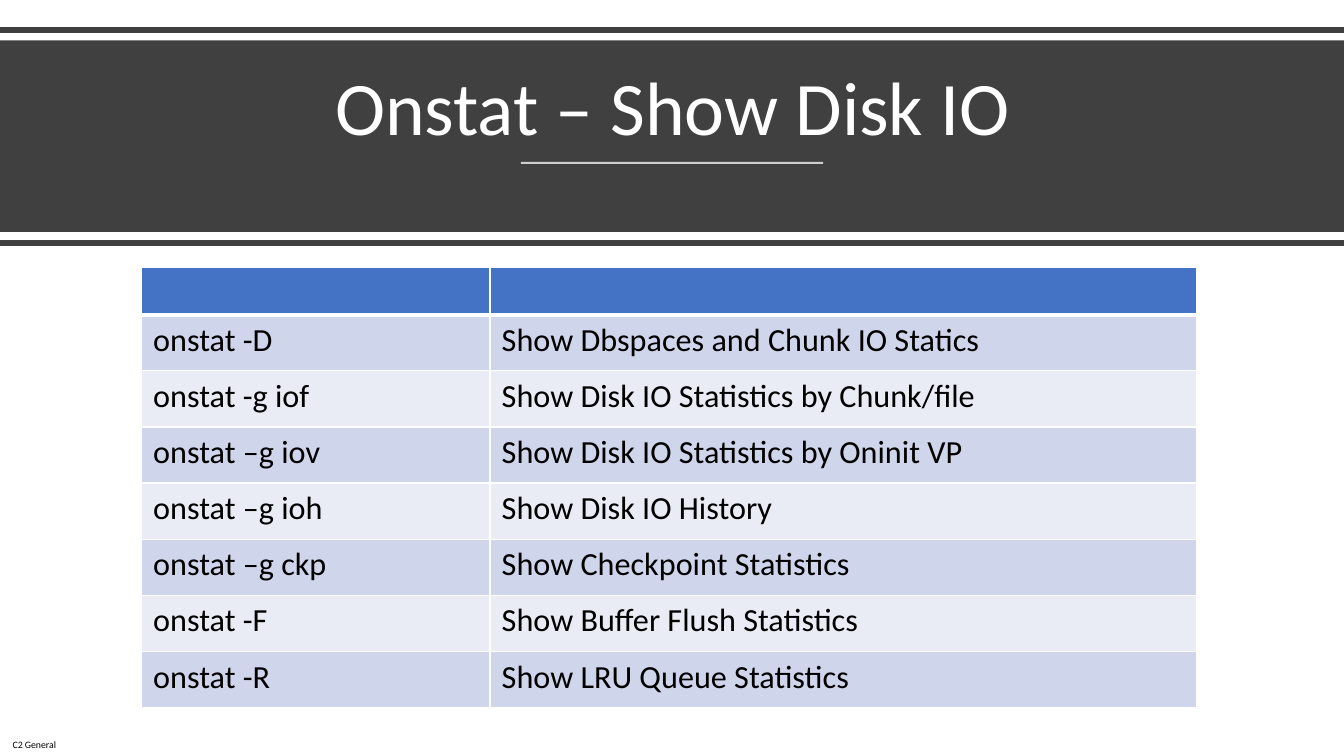
from dataclasses import dataclass

from lxml import etree
from pptx import Presentation
from pptx import util as u
from pptx.dml.color import RGBColor
from pptx.enum import shapes, text
from pptx.oxml import ns


@dataclass(frozen=True)
class Theme:
    font: str = "Calibri"
    dark: str = "404040"
    white: str = "FFFFFF"
    black: str = "000000"
    header: str = "4472C4"
    bands: tuple[str, str] = ("CFD5EA", "E9EBF5")
    title_size: float = 54
    table_size: float = 23
    label_size: float = 7


@dataclass(frozen=True)
class Rule:
    left: float
    right: float
    top: float
    width: float
    color: str
    opacity: int = 100


@dataclass(frozen=True)
class Command:
    name: str
    purpose: str


THEME = Theme()
PAGE_WIDTH, PAGE_HEIGHT = 960, 540

RULES = (
    Rule(0, PAGE_WIDTH, 21.6, 4, THEME.dark),
    Rule(372, 588, 116.4, 1.5, THEME.white, opacity=75),
    Rule(0, PAGE_WIDTH, 173.5, 4, THEME.dark),
)

COMMANDS = (
    Command("onstat -D", "Show Dbspaces and Chunk IO Statics"),
    Command("onstat -g iof", "Show Disk IO Statistics by Chunk/file"),
    Command("onstat –g iov", "Show Disk IO Statistics by Oninit VP"),
    Command("onstat –g ioh", "Show Disk IO History"),
    Command("onstat –g ckp", "Show Checkpoint Statistics"),
    Command("onstat -F", "Show Buffer Flush Statistics"),
    Command("onstat -R", "Show LRU Queue Statistics"),
)


def rgb(color: str) -> RGBColor:
    return RGBColor.from_string(color)


def style_text(frame, size: float, color: str) -> None:
    for para in frame.paragraphs:
        for span in para.runs:
            span.font.name = THEME.font
            span.font.size = u.Pt(size)
            span.font.color.rgb = rgb(color)


def draw_rule(page, rule: Rule) -> None:
    line = page.shapes.add_connector(
        shapes.MSO_CONNECTOR.STRAIGHT,
        u.Pt(rule.left), u.Pt(rule.top), u.Pt(rule.right), u.Pt(rule.top))
    line.line.width = u.Pt(rule.width)
    line.line.color.rgb = rgb(rule.color)
    properties = line._element.spPr
    if rule.opacity < 100:
        color = properties.find(".//" + ns.qn("a:srgbClr"))
        etree.SubElement(color, ns.qn("a:alpha"), val=str(rule.opacity * 1000))
    etree.SubElement(properties, ns.qn("a:effectLst"))


def draw_band(page):
    band = page.shapes.add_shape(
        shapes.MSO_SHAPE.RECTANGLE, 0, u.Pt(28.8), u.Pt(PAGE_WIDTH), u.Pt(136.8))
    band.shadow.inherit = False
    band.fill.solid()
    band.fill.fore_color.rgb = rgb(THEME.dark)
    band.line.fill.background()
    return band


def draw_title(page, band) -> None:
    title = page.shapes.title
    title.left, title.top = u.Pt(41.8), u.Pt(38.9)
    title.width, title.height = u.Pt(877), u.Pt(73.4)
    frame = title.text_frame
    frame.text = "Onstat – Show Disk IO"
    frame.vertical_anchor = text.MSO_ANCHOR.BOTTOM
    frame.auto_size = text.MSO_AUTO_SIZE.NONE
    frame.paragraphs[0].alignment = text.PP_ALIGN.CENTER
    frame.paragraphs[0].line_spacing = 0.9
    style_text(frame, THEME.title_size, THEME.white)
    # Bring the title in front of the band
    band._element.addnext(title._element)


def draw_label(page) -> None:
    box = page.shapes.add_textbox(0, u.Pt(523.4), u.Pt(49), u.Pt(16.6))
    frame = box.text_frame
    frame.word_wrap = True
    frame.margin_left = frame.margin_right = 0
    frame.margin_top = frame.margin_bottom = 0
    frame.vertical_anchor = text.MSO_ANCHOR.MIDDLE
    frame.text = "C2 General"
    frame.paragraphs[0].alignment = text.PP_ALIGN.CENTER
    style_text(frame, THEME.label_size, THEME.black)


def border_cell(cell, top: float, bottom: float) -> None:
    properties = cell._tc.get_or_add_tcPr()
    sides = (("L", 1), ("R", 1), ("T", top), ("B", bottom))
    for position, (side, width) in enumerate(sides):
        line = etree.Element(ns.qn(f"a:ln{side}"), w=str(u.Pt(width)))
        fill = etree.SubElement(line, ns.qn("a:solidFill"))
        etree.SubElement(fill, ns.qn("a:srgbClr"), val=THEME.white)
        properties.insert(position, line)


def draw_table(page, commands: tuple[Command, ...]) -> None:
    widths = (249, 505)
    heights = [33.8] + [40.1] * len(commands)
    table = page.shapes.add_table(
        len(heights), len(widths), u.Pt(101), u.Pt(191),
        u.Pt(sum(widths)), u.Pt(sum(heights))).table
    for column, width in zip(table.columns, widths):
        column.width = u.Pt(width)
    for row, height in zip(table.rows, heights):
        row.height = u.Pt(height)

    # Fills and borders, with a heavier line below the header
    for index, row in enumerate(table.rows):
        color = THEME.bands[(index - 1) % 2] if index else THEME.header
        for cell in row.cells:
            cell.fill.solid()
            cell.fill.fore_color.rgb = rgb(color)
            border_cell(cell, top=3 if index == 1 else 1,
                        bottom=3 if index == 0 else 1)

    # Commands below the empty header
    for index, command in enumerate(commands, start=1):
        for cell, words in zip(table.rows[index].cells,
                               (command.name, command.purpose)):
            cell.margin_left = cell.margin_right = u.Pt(8.4)
            cell.margin_top = cell.margin_bottom = u.Pt(4.2)
            cell.text_frame.text = words
            style_text(cell.text_frame, THEME.table_size, THEME.black)


def main() -> None:
    deck = Presentation()
    deck.slide_width, deck.slide_height = u.Pt(PAGE_WIDTH), u.Pt(PAGE_HEIGHT)
    page = deck.slides.add_slide(deck.slide_layouts[5])

    # Heading
    draw_label(page)
    band = draw_band(page)
    draw_title(page, band)
    for rule in RULES:
        draw_rule(page, rule)

    # Body
    draw_table(page, COMMANDS)
    deck.save("out.pptx")


if __name__ == "__main__":
    main()
